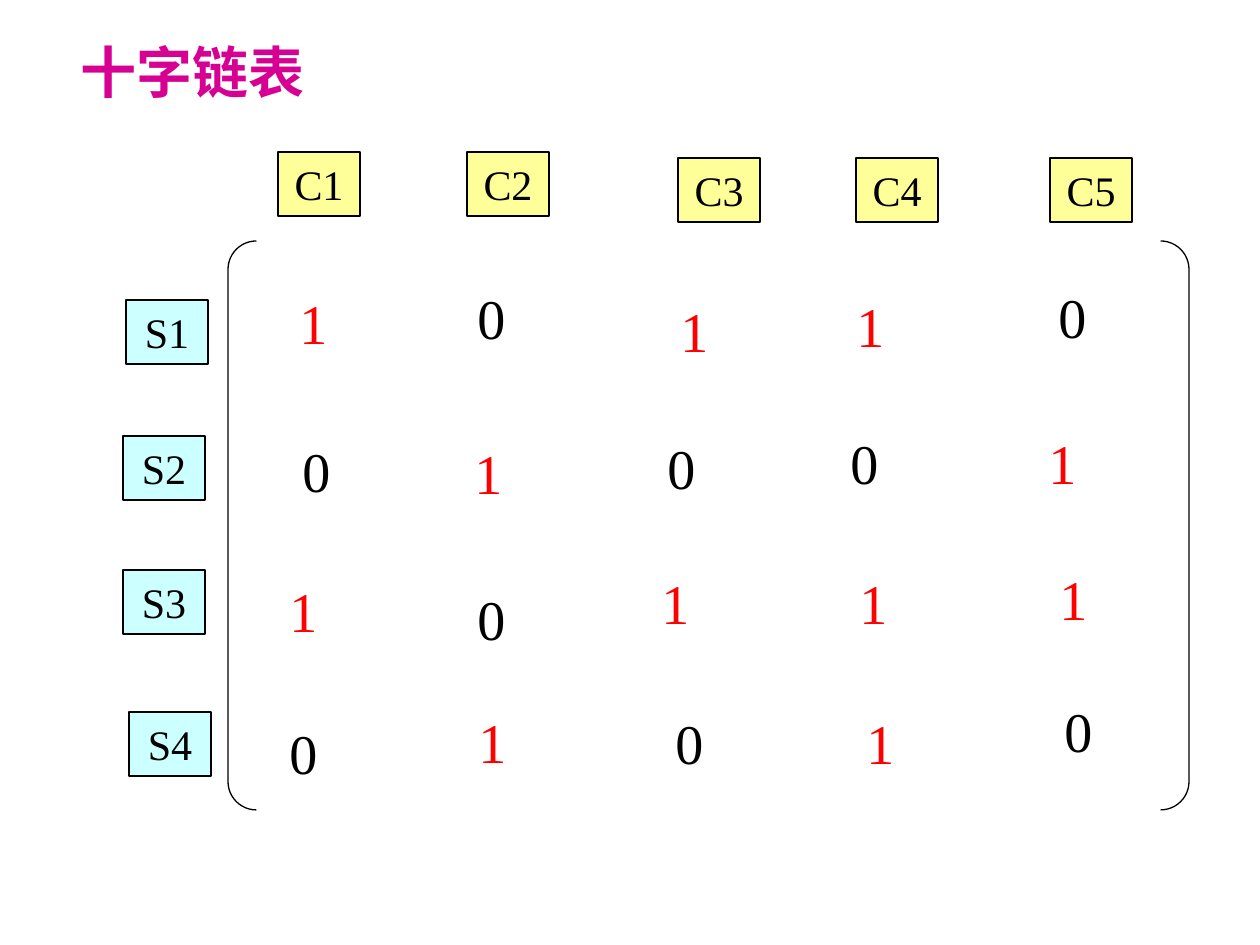
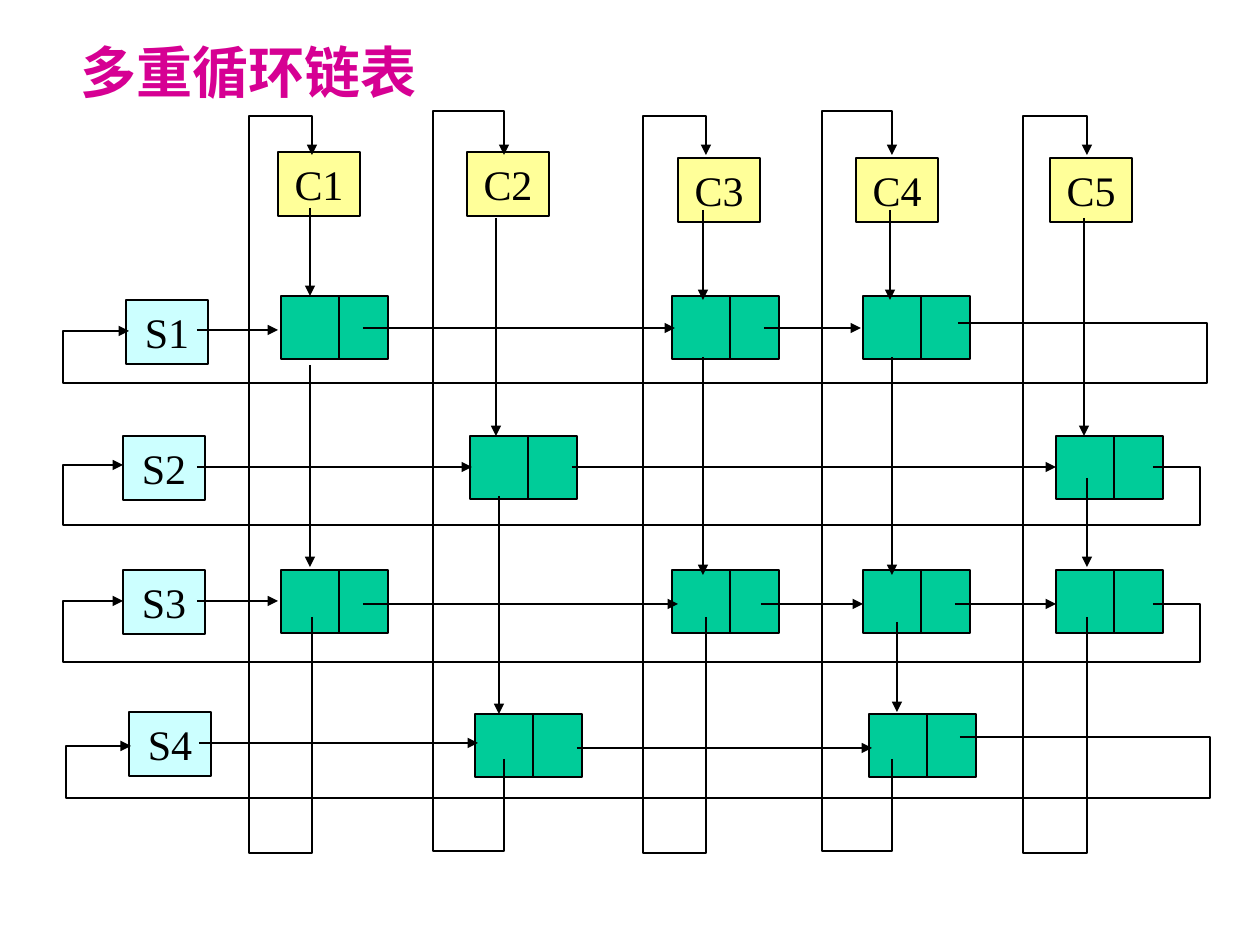
from lxml import etree
from pptx import Presentation
from pptx import util as u
from pptx.dml import color
from pptx.enum import shapes, text
from pptx.oxml import ns

# Shared scale, colours and font
PX = 914400 / 126
FONT = "Times New Roman"
BLACK, WHITE, RED, PINK = "000000", "FFFFFF", "FF0000", "D60093"
YELLOW, CYAN, GREEN = "FFFF99", "CCFFFF", "00CC99"
rgb = color.RGBColor.from_string
RECT = shapes.MSO_SHAPE.RECTANGLE
LINE = shapes.MSO_CONNECTOR.STRAIGHT


def paint(shape, fill=None, arrow=False):
    """Thin black line, flat look, optional fill and arrowhead."""
    if fill:
        shape.fill.solid()
        shape.fill.fore_color.rgb = rgb(fill)
    shape.line.width = u.Pt(0.75)
    shape.line.color.rgb = rgb(BLACK)
    props = shape._element.spPr
    if arrow:
        etree.SubElement(props.find(ns.qn("a:ln")), ns.qn("a:tailEnd"), type="triangle")
    etree.SubElement(props, ns.qn("a:effectLst"))


def write(shape, words, size, hue, align=text.PP_ALIGN.LEFT, bold=False):
    frame = shape.text_frame
    frame.text = words
    frame.word_wrap = True
    frame.auto_size = text.MSO_AUTO_SIZE.NONE
    frame.vertical_anchor = text.MSO_ANCHOR.TOP
    par = frame.paragraphs[0]
    par.alignment = align
    font = par.runs[0].font
    font.name, font.size, font.bold = FONT, u.Pt(size), bold
    font.color.rgb = rgb(hue)


# Header boxes of the matrix
heads = [
    ("C1", 278, 152, YELLOW), ("C2", 467, 152, YELLOW), ("C3", 678, 158, YELLOW),
    ("C4", 856, 158, YELLOW), ("C5", 1050, 158, YELLOW),
    ("S1", 126, 300, CYAN), ("S2", 123, 436, CYAN),
    ("S3", 123, 570, CYAN), ("S4", 129, 712, CYAN),
]

prs = Presentation()
prs.slide_width, prs.slide_height = u.Inches(10), u.Inches(7.5)

# Both slides: title and header boxes
pages = []
for name in ("十字链表", "多重循环链表"):
    page = prs.slides.add_slide(prs.slide_layouts[5])
    title = page.shapes.title
    title.left, title.top, title.width, title.height = [
        round(n * PX) for n in (68, 31, 759, 80)]
    write(title, name, 32, PINK, bold=True)
    for label, x, y, fill in heads:
        box = page.shapes.add_shape(RECT, *[round(n * PX) for n in (x, y, 82, 64)])
        paint(box, fill)
        write(box, label, 24, BLACK, text.PP_ALIGN.CENTER)
    pages.append(page.shapes)
matrix, lists = pages

# Slide 1: bracket and digits
frame = matrix.add_shape(shapes.MSO_SHAPE.DOUBLE_BRACKET,
                         *[round(n * PX) for n in (228, 241, 961, 569)])
frame.adjustments[0] = 0.05
paint(frame, WHITE)

digits = [
    ("10110", [(287, 282), (465, 277), (668, 290), (844, 285), (1046, 276)]),
    ("01001", [(290, 430), (462, 432), (655, 427), (838, 422), (1036, 422)]),
    ("10111", [(277, 570), (465, 578), (649, 562), (847, 562), (1047, 558)]),
    ("01010", [(277, 712), (466, 701), (663, 702), (854, 702), (1052, 690)]),
]
for row, spots in digits:
    for digit, (x, y) in zip(row, spots):
        box = matrix.add_textbox(*[round(n * PX) for n in (x, y, 110, 81)])
        write(box, digit, 32, RED if digit == "1" else BLACK)

# Slide 2: list nodes, each split by a line
nodes = [
    (296, (281, 672, 863)),
    (436, (470, 1056)),
    (570, (281, 672, 863, 1056)),
    (714, (475, 869)),
]
lines = []
for y, lefts in nodes:
    for x in lefts:
        node = lists.add_shape(RECT, *[round(n * PX) for n in (x, y, 107, 63)])
        paint(node, GREEN)
        lines.append((x + 58, y, x + 58, y + 63, False))

# Links along rows (y, from, to) and columns (x, from, to)
across = [
    (330, 197, 278), (328, 363, 675), (328, 764, 861),
    (467, 197, 472), (467, 572, 1056),
    (601, 197, 278), (604, 363, 678), (604, 761, 863), (604, 955, 1056),
    (743, 199, 478), (748, 577, 872),
]
down = [
    (310, 208, 296), (310, 365, 567),
    (496, 218, 436), (499, 496, 714),
    (703, 210, 300), (703, 357, 575),
    (890, 210, 300), (892, 357, 575), (897, 622, 712),
    (1084, 218, 436), (1087, 478, 567),
]
lines += [(a, y, b, y, True) for y, a, b in across]
lines += [(x, a, x, b, True) for x, a, b in down]
for *ends, arrow in lines:
    link = lists.add_connector(LINE, *[round(n * PX) for n in ends])
    paint(link, arrow=arrow)

# Loops from the last node back to the header
rows = [  # start x, y, right, bottom, left, end y, end x
    (958, 323, 1207, 383, 63, 331, 129),
    (1153, 467, 1200, 525, 63, 465, 123),
    (1153, 604, 1200, 662, 63, 601, 123),
    (960, 737, 1210, 798, 66, 746, 131),
]
cols = [  # x, start y, bottom, left, top
    (312, 617, 853, 249, 116),
    (504, 759, 851, 433, 111),
    (706, 617, 853, 643, 116),
    (892, 759, 851, 822, 111),
    (1087, 617, 853, 1023, 116),
]
loops = [[(x, y), (right, y), (right, low), (left, low), (left, top), (end, top)]
         for x, y, right, low, left, top, end in rows]
loops += [[(x, y), (x, low), (left, low), (left, top), (x, top), (x, 155)]
          for x, y, low, left, top in cols]
for start, *rest in loops:
    form = lists.build_freeform(*start, scale=PX)
    form.add_line_segments(rest, close=False)
    loop = form.convert_to_shape()
    loop.fill.background()
    paint(loop, arrow=True)

prs.save("out.pptx")
